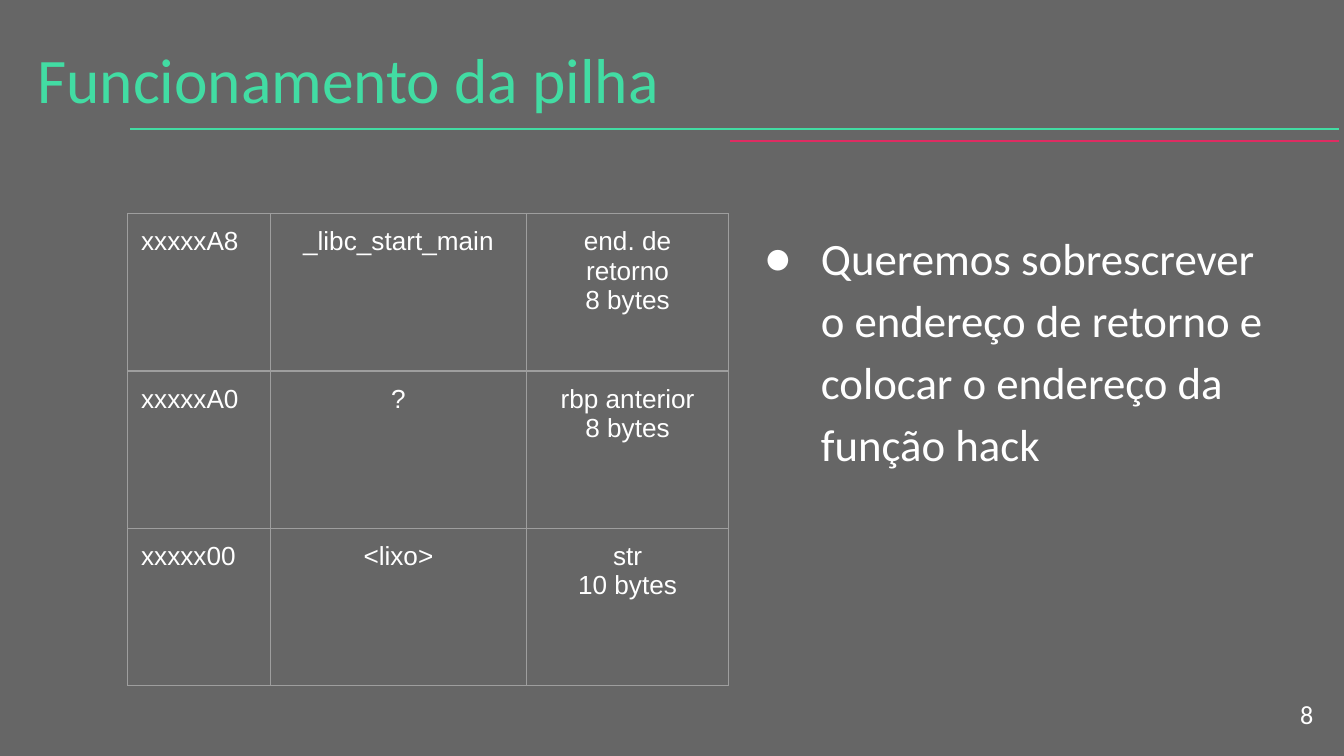
from lxml import etree
from pptx import Presentation
from pptx.dml.color import RGBColor
from pptx.enum import shapes, text
from pptx.oxml.ns import qn
from pptx.util import Inches, Pt

GREEN, PINK, WHITE, GRAY = "42DCA3", "DF2C62", "FFFFFF", "9E9E9E"


def color(value):
    return RGBColor.from_string(value)


def add_text(page, left, top, width, height, content, size, ink, bullet=None):
    box = page.shapes.add_textbox(Inches(left), Inches(top), Inches(width), Inches(height))
    frame = box.text_frame
    frame.word_wrap = True
    frame.margin_left = frame.margin_right = Inches(0.1)
    frame.margin_top = frame.margin_bottom = Inches(0.1)
    para = frame.paragraphs[0]
    para.text = content
    # Bullet elements must come before the default font
    if bullet:
        para.line_spacing = 1.15
        props = para._p.get_or_add_pPr()
        props.set("marL", str(Inches(0.5)))
        props.set("indent", str(Inches(-0.42)))
        bullet_color = etree.SubElement(props, qn("a:buClr"))
        etree.SubElement(bullet_color, qn("a:srgbClr"), val=ink)
        etree.SubElement(props, qn("a:buFont"), typeface="Calibri")
        etree.SubElement(props, qn("a:buChar"), char=bullet)
    para.font.name = "Calibri"
    para.font.size = Pt(size)
    para.font.color.rgb = color(ink)
    return frame


# Widescreen page, 16:9
deck = Presentation()
deck.slide_width = Inches(10)
deck.slide_height = Inches(10 * 9 / 16)
page = deck.slides.add_slide(deck.slide_layouts[6])
page.background.fill.solid()
page.background.fill.fore_color.rgb = color("666666")

# Rules under the title
for start, y, ink in [(0.97, 0.96, GREEN), (5.43, 1.05, PINK)]:
    rule = page.shapes.add_connector(
        shapes.MSO_CONNECTOR.STRAIGHT, Inches(start), Inches(y), Inches(9.96), Inches(y))
    rule.line.color.rgb = color(ink)
    rule.line.width = Pt(0.75)
    etree.SubElement(rule._element.spPr, qn("a:effectLst"))

# Slide number, title and bullet
number = add_text(page, 9.27, 5.1, 0.6, 0.43, "8", 14, WHITE)
number.vertical_anchor = text.MSO_ANCHOR.MIDDLE
number.paragraphs[0].alignment = text.PP_ALIGN.RIGHT
add_text(page, 0.18, 0.2, 8.97, 0.67, "Funcionamento da pilha", 34, GREEN)
add_text(page, 5.51, 1.56, 4.04, 3.3,
         "Queremos sobrescrever o endereço de retorno e colocar o endereço da função hack",
         24, WHITE, bullet="●")

# Stack table: address, content, meaning
stack = [
    ("xxxxxA8", "_libc_start_main", "end. de retorno\n8 bytes"),
    ("xxxxxA0", "?", "rbp anterior\n8 bytes"),
    ("xxxxx00", "<lixo>", "str\n10 bytes"),
]
widths = [1.06, 1.91, 1.5]
row_height = 1.17
table = page.shapes.add_table(
    len(stack), len(widths), Inches(0.95), Inches(1.59),
    Inches(sum(widths)), Inches(row_height * len(stack))).table
table.first_row = table.horz_banding = False
for column, width in zip(table.columns, widths):
    column.width = Inches(width)

for r, entries in enumerate(stack):
    table.rows[r].height = Inches(row_height)
    for c, entry in enumerate(entries):
        cell = table.cell(r, c)
        cell.margin_left = cell.margin_right = Inches(0.1)
        cell.margin_top = cell.margin_bottom = Inches(0.1)
        cell.text = entry
        for para in cell.text_frame.paragraphs:
            para.alignment = text.PP_ALIGN.CENTER if c else text.PP_ALIGN.LEFT
            para.font.name = "Arial"
            para.font.size = Pt(14)
            para.font.color.rgb = color(WHITE)
        # Borders come before the fill in the cell properties
        props = cell._tc.get_or_add_tcPr()
        for side in ("lnL", "lnR", "lnT", "lnB"):
            border = etree.SubElement(props, qn(f"a:{side}"), w=str(Pt(0.75)))
            fill = etree.SubElement(border, qn("a:solidFill"))
            etree.SubElement(fill, qn("a:srgbClr"), val=GRAY)
        cell.fill.background()

deck.save("out.pptx")
